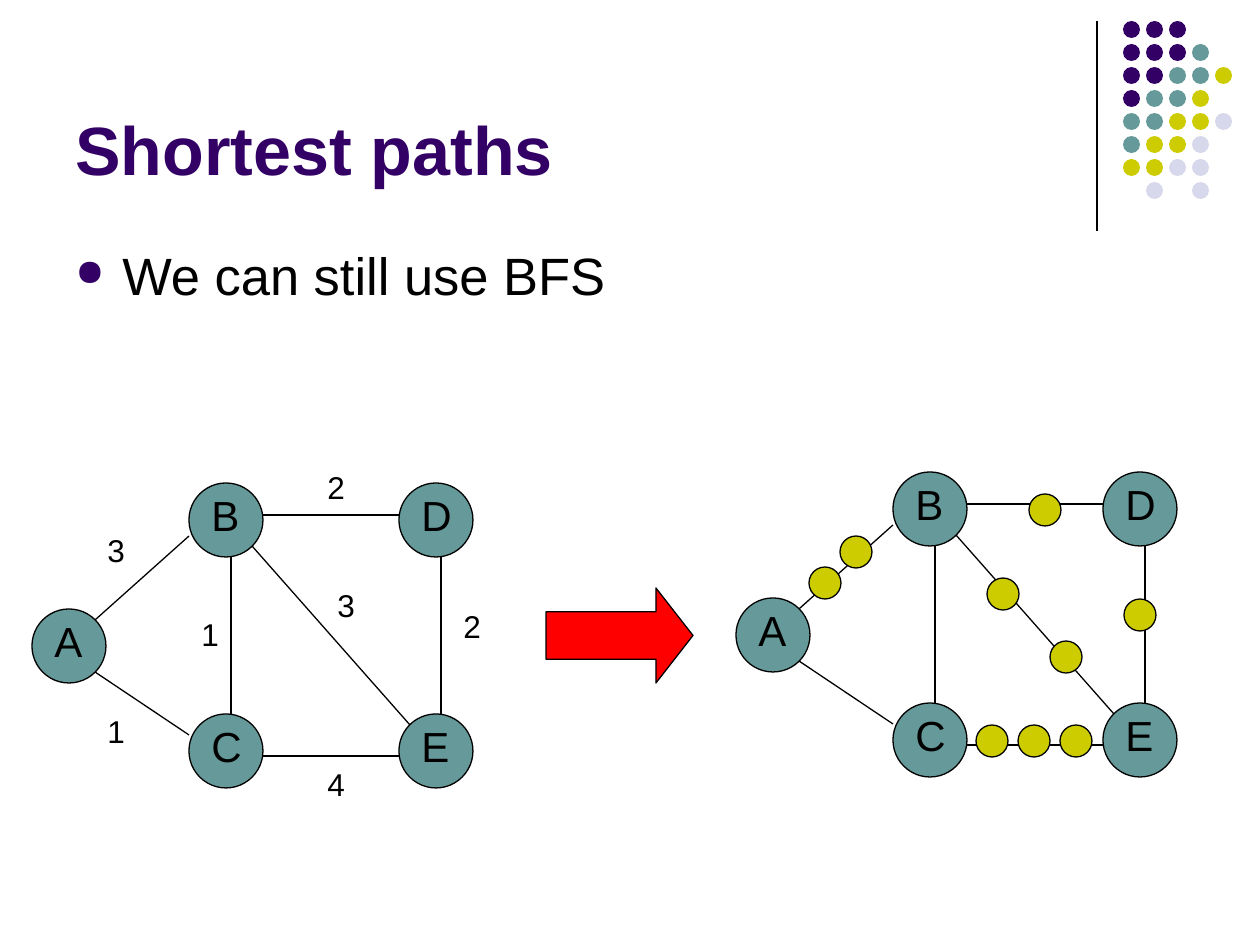
"""Build the "Shortest paths" slide: a weighted graph expanded into unit edges for BFS."""
from lxml.etree import SubElement
from pptx import Presentation
from pptx.dml.color import RGBColor
from pptx.enum.shapes import MSO_CONNECTOR, MSO_SHAPE
from pptx.enum.text import MSO_ANCHOR, MSO_AUTO_SIZE, PP_ALIGN
from pptx.oxml.ns import qn
from pptx.util import Emu, Pt

SCALE = 914400 / 126
PURPLE = RGBColor(0x33, 0x00, 0x66)
TEAL = RGBColor(0x66, 0x99, 0x99)
YELLOW = RGBColor(0xCC, 0xCC, 0x00)
LAVENDER = RGBColor(0xD8, 0xD8, 0xEC)
RED = RGBColor(0xFF, 0x00, 0x00)
BLACK = RGBColor(0x00, 0x00, 0x00)


def draw_shape(shapes, kind, bounds, fill, outlined=True):
    shape = shapes.add_shape(kind, *[Emu(round(px * SCALE)) for px in bounds])
    shape.shadow.inherit = False
    shape.fill.solid()
    shape.fill.fore_color.rgb = fill
    if outlined:
        shape.line.color.rgb = BLACK
        shape.line.width = Pt(0.75)
    else:
        shape.line.fill.background()
    return shape


def draw_text(shapes, bounds, text, size, color=BLACK, bold=False):
    box = shapes.add_textbox(*[Emu(round(px * SCALE)) for px in bounds])
    box.text_frame.word_wrap = True
    para = box.text_frame.paragraphs[0]
    para.alignment = PP_ALIGN.LEFT
    span = para.add_run()
    span.text = text
    span.font.name = "Arial"
    span.font.size = Pt(size)
    span.font.bold = bold
    span.font.color.rgb = color
    return box


deck = Presentation()
deck.slide_width = Emu(round(1260 * SCALE))
deck.slide_height = Emu(round(945 * SCALE))
page = deck.slides.add_slide(deck.slide_layouts[6])

DOT_COLORS = {"P": PURPLE, "T": TEAL, "Y": YELLOW, "L": LAVENDER}
DOT_ROWS = ["PPP", "PPPT", "PPTTY", "PTTY", "TTYYL", "TYYL", "YYLL", " L L"]
dot_group = page.shapes.add_group_shape()
for row, codes in enumerate(DOT_ROWS):
    for column, code in enumerate(codes):
        if code in DOT_COLORS:
            bounds = (1123 + 23 * column, 21 + 23 * row, 17, 17)
            draw_shape(dot_group.shapes, MSO_SHAPE.OVAL, bounds, DOT_COLORS[code], False)

title = draw_text(page.shapes, (63, 16, 1040, 179), "Shortest paths", 39, PURPLE, True)
title.text_frame.vertical_anchor = MSO_ANCHOR.BOTTOM

body = draw_text(page.shapes, (63, 237, 1134, 110), "We can still use BFS", 30)
para = body.text_frame.paragraphs[0]
para.space_before = Pt(7.5)
properties = para._p.get_or_add_pPr()
indent = round(47 * SCALE)
properties.set("marL", str(indent))
properties.set("indent", str(-indent))
bullet_color = SubElement(properties, qn("a:buClr"))
SubElement(bullet_color, qn("a:srgbClr"), val=str(PURPLE))
SubElement(properties, qn("a:buSzPct"), val="70000")
SubElement(properties, qn("a:buChar"), char="●")

NODES = {"A": (32, 609), "B": (189, 483), "C": (189, 714), "E": (399, 714), "D": (399, 483)}
EDGES = [
    (95, 620, 189, 536),
    (95, 672, 189, 735),
    (263, 756, 399, 756),
    (441, 714, 441, 557),
    (231, 714, 231, 557),
    (263, 515, 399, 515),
    (252, 546, 410, 725),
]
lines = [(1097, 21, 1097, 231)]
for shift_x, shift_y in [(0, 0), (704, -11)]:
    for name, (left, top) in NODES.items():
        node = page.shapes.add_group_shape()
        left, top = left + shift_x, top + shift_y
        draw_shape(node.shapes, MSO_SHAPE.OVAL, (left, top, 74, 74), TEAL)
        label = draw_text(node.shapes, (left + 10, top, 63, 63), name, 24)
        label.text_frame.auto_size = MSO_AUTO_SIZE.SHAPE_TO_FIT_TEXT
        label.text_frame.paragraphs[0].space_before = Pt(15)
    for x1, y1, x2, y2 in EDGES:
        lines.append((x1 + shift_x, y1 + shift_y, x2 + shift_x, y2 + shift_y))

for ends in lines:
    points = [Emu(round(px * SCALE)) for px in ends]
    line = page.shapes.add_connector(MSO_CONNECTOR.STRAIGHT, *points)
    line.line.color.rgb = BLACK
    line.line.width = Pt(0.75)
    SubElement(line._element.spPr, qn("a:effectLst"))

WEIGHTS = [
    ("1", 95, 706),
    ("1", 189, 609),
    ("3", 95, 525),
    ("2", 315, 462),
    ("2", 451, 601),
    ("3", 325, 580),
    ("4", 315, 759),
]
for weight, left, top in WEIGHTS:
    label = draw_text(page.shapes, (left, top, 74, 50), weight, 18)
    label.text_frame.auto_size = MSO_AUTO_SIZE.SHAPE_TO_FIT_TEXT
    label.text_frame.paragraphs[0].space_before = Pt(11.25)

BEADS = [(809, 567), (840, 536), (987, 578), (1050, 641), (1124, 599), (1029, 494)]
BEADS += [(976 + 42 * step, 725) for step in range(3)]
for left, top in BEADS:
    draw_shape(page.shapes, MSO_SHAPE.OVAL, (left, top, 32, 32), YELLOW)

arrow = draw_shape(page.shapes, MSO_SHAPE.RIGHT_ARROW, (546, 588, 147, 95), RED)
arrow.adjustments[0] = 0.5
arrow.adjustments[1] = 0.39

deck.save("out.pptx")
